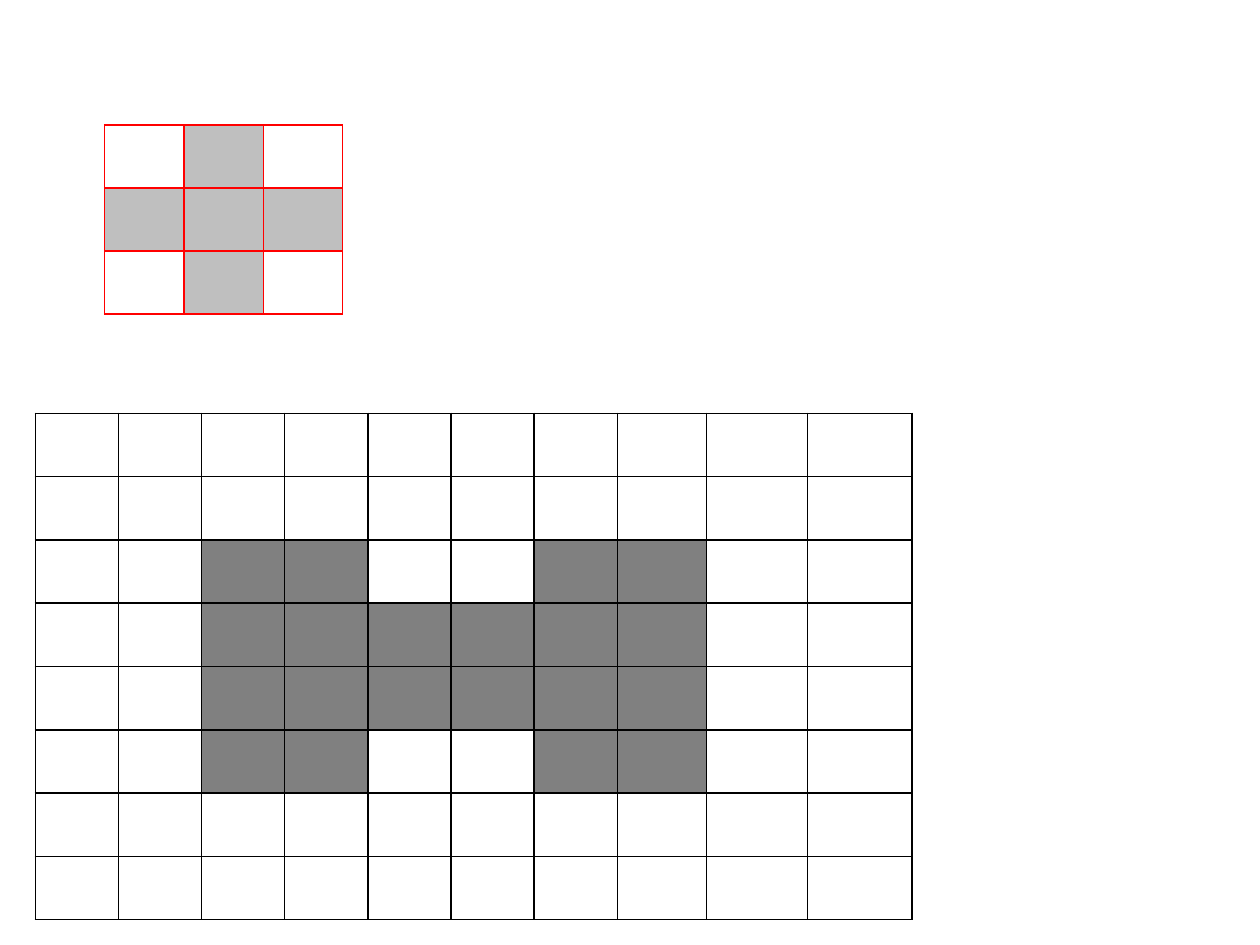
from lxml import etree
from pptx import Presentation
from pptx.dml.color import RGBColor
from pptx.oxml import ns
from pptx.util import Inches, Pt


def color(code):
    return RGBColor.from_string(code)


def edge(cell, code, width):
    props = cell._tc.get_or_add_tcPr()
    for spot, side in enumerate(("lnL", "lnR", "lnT", "lnB")):
        line = etree.Element(ns.qn("a:" + side), w=str(Pt(width)))
        fill = etree.SubElement(line, ns.qn("a:solidFill"))
        etree.SubElement(fill, ns.qn("a:srgbClr"), val=code)
        props.insert(spot, line)


def grid(slide, left, top, cols, height, rows, fills, border):
    frame = slide.shapes.add_table(
        len(rows), len(cols), Inches(left), Inches(top),
        Inches(sum(cols)), Inches(height * len(rows)))
    table = frame.table
    table.first_row = False
    table.horz_banding = False
    for col, width in zip(table.columns, cols):
        col.width = Inches(width)
    for row, marks in zip(table.rows, rows):
        row.height = Inches(height)
        for cell, mark in zip(row.cells, marks):
            if fills[mark]:
                cell.fill.solid()
                cell.fill.fore_color.rgb = color(fills[mark])
            else:
                cell.fill.background()
            edge(cell, border, 1)


def image(slide, left, top):
    blank = "." * 10
    posts = "..##..##.."
    bar = "..######.."
    rows = [blank, blank, posts, bar, bar, posts, blank, blank]
    cols = [0.66] * 7 + [0.71, 0.8, 0.83]
    grid(slide, left, top, cols, 4.02 / 8, rows,
         {".": "FFFFFF", "#": "808080"}, "000000")


def kernel(slide, left, top):
    grid(slide, left, top, [0.63] * 3, 0.5, [".#.", "###", ".#."],
         {".": None, "#": "BFBFBF"}, "FF0000")


deck = Presentation()
deck.slide_width = Inches(10)
deck.slide_height = Inches(7.5)
slide = deck.slides.add_slide(deck.slide_layouts[6])
image(slide, 0.28, 3.28)
kernel(slide, 0.83, 0.99)
deck.save("out.pptx")
